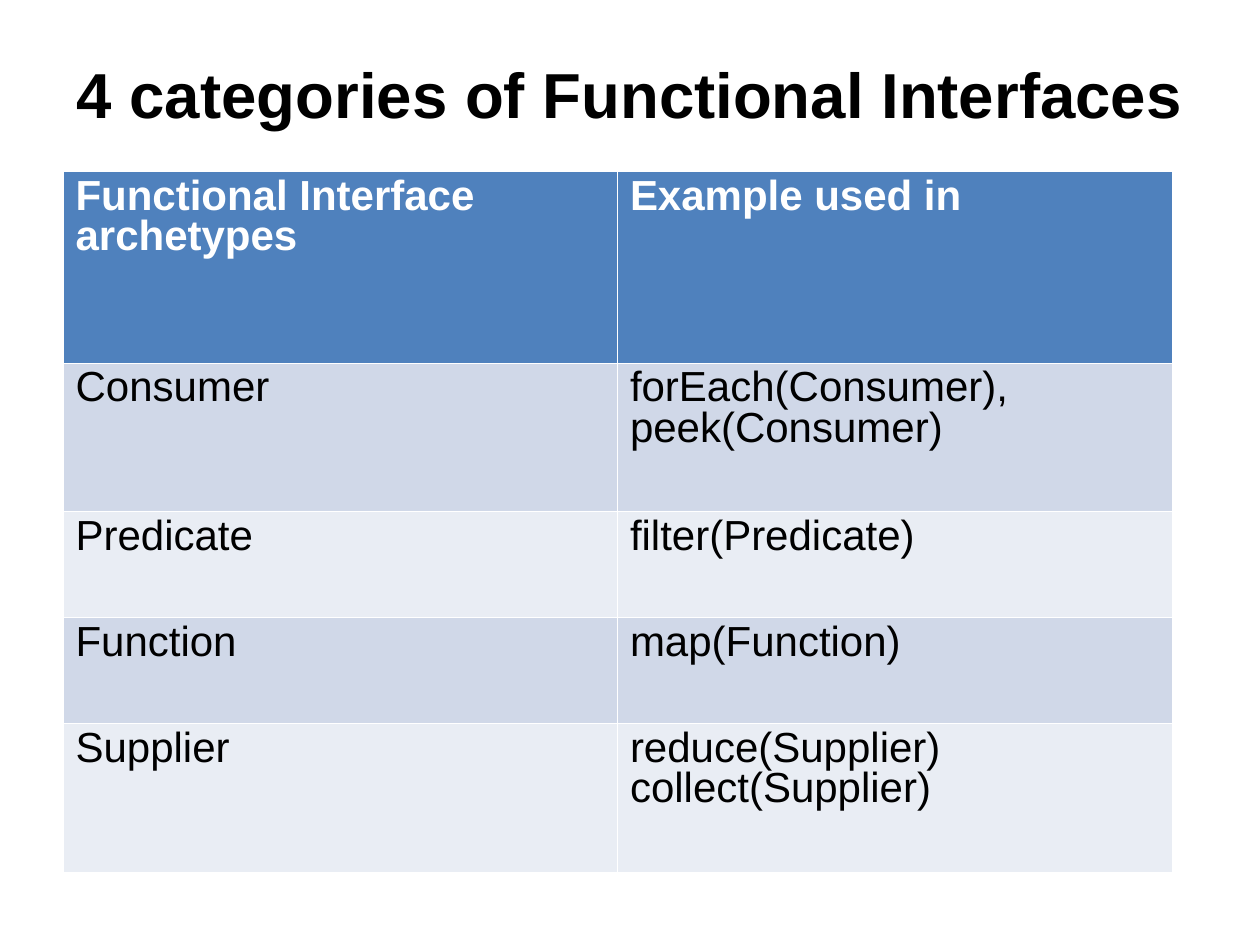
from typing import NamedTuple

from lxml.etree import SubElement
from pptx import Presentation
from pptx.dml.color import RGBColor
from pptx.enum.text import MSO_ANCHOR, PP_ALIGN
from pptx.oxml.ns import qn
from pptx.util import Inches, Pt

WHITE, BLACK = "FFFFFF", "000000"
HEADER_FILL, DARK_BAND, LIGHT_BAND = "4F81BD", "D0D8E8", "E9EDF4"
COLUMN_WIDTH = 4.4
BORDER_WIDTH = Pt(0.06)


class Row(NamedTuple):
    height: float
    archetype: str
    usage: str


ROWS = [
    Row(1.52, "Functional Interface archetypes", "Example used in"),
    Row(1.18, "Consumer", "forEach(Consumer), peek(Consumer)"),
    Row(0.84, "Predicate", "filter(Predicate)"),
    Row(0.84, "Function", "map(Function)"),
    Row(1.18, "Supplier", "reduce(Supplier)\ncollect(Supplier)"),
]


def color(value: str) -> RGBColor:
    return RGBColor.from_string(value)


def write_text(frame, text: str, font_format: dict, paragraph_format: dict) -> None:
    """Fill a text frame, one paragraph for each line of text."""
    frame.text = text
    for para in frame.paragraphs:
        for name, value in paragraph_format.items():
            setattr(para, name, value)
        for span in para.runs:
            span.font.name = "Arial"
            for name, value in font_format.items():
                if name == "color":
                    span.font.color.rgb = color(value)
                else:
                    setattr(span.font, name, value)


def set_borders(cell) -> None:
    """Draw a thin white line on each side; call before setting the fill."""
    properties = cell._tc.get_or_add_tcPr()
    for side in ("a:lnL", "a:lnR", "a:lnT", "a:lnB"):
        line = SubElement(properties, qn(side), w=str(BORDER_WIDTH))
        fill = SubElement(line, qn("a:solidFill"))
        SubElement(fill, qn("a:srgbClr"), val=WHITE)


def add_title(page, text: str) -> None:
    box = page.shapes.add_textbox(Inches(0.5), Inches(0.3), Inches(9), Inches(0.88))
    frame_format = {
        "word_wrap": True,
        "vertical_anchor": MSO_ANCHOR.MIDDLE,
        "margin_left": 0,
        "margin_right": 0,
        "margin_top": 0,
        "margin_bottom": 0,
    }
    for name, value in frame_format.items():
        setattr(box.text_frame, name, value)
    write_text(
        box.text_frame,
        text,
        {"size": Pt(36.3), "bold": True, "color": BLACK},
        {"alignment": PP_ALIGN.CENTER},
    )


def add_interface_table(page, rows: list[Row]) -> None:
    table = page.shapes.add_table(
        len(rows), 2, Inches(0.5), Inches(1.36),
        Inches(2 * COLUMN_WIDTH), Inches(sum(row.height for row in rows)),
    ).table
    for column in table.columns:
        column.width = Inches(COLUMN_WIDTH)

    for index, row in enumerate(rows):
        table.rows[index].height = Inches(row.height)
        is_header = index == 0
        band = DARK_BAND if index % 2 else LIGHT_BAND
        font_format = {
            "size": Pt(24),
            "bold": is_header,
            "color": WHITE if is_header else BLACK,
        }
        for cell, text in zip(table.rows[index].cells, (row.archetype, row.usage)):
            set_borders(cell)
            cell.fill.solid()
            cell.fill.fore_color.rgb = color(HEADER_FILL if is_header else band)
            write_text(cell.text_frame, text, font_format, {"line_spacing": 0.87})


def main() -> None:
    deck = Presentation()
    deck.slide_width, deck.slide_height = Inches(10), Inches(7.5)
    page = deck.slides.add_slide(deck.slide_layouts[6])

    # Table of archetypes, then the heading
    add_interface_table(page, ROWS)
    add_title(page, "4 categories of Functional Interfaces")

    deck.save("out.pptx")


if __name__ == "__main__":
    main()
